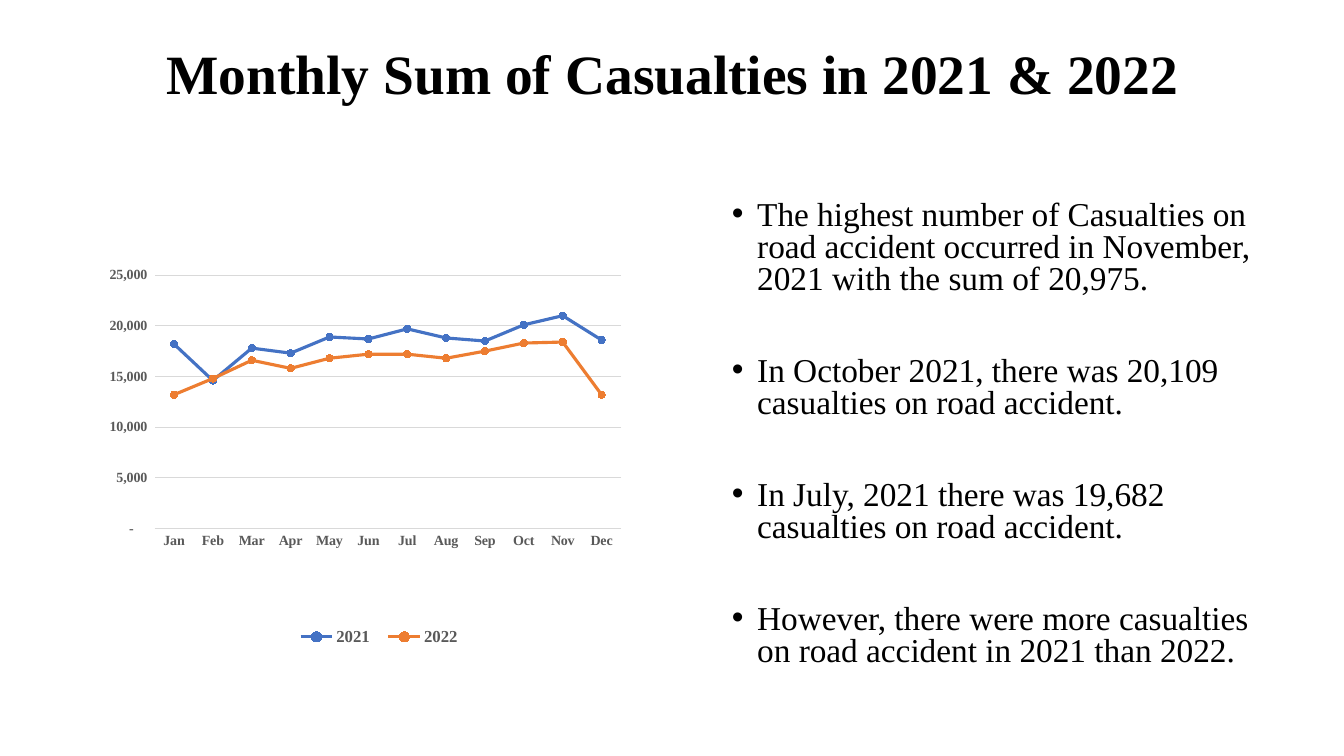
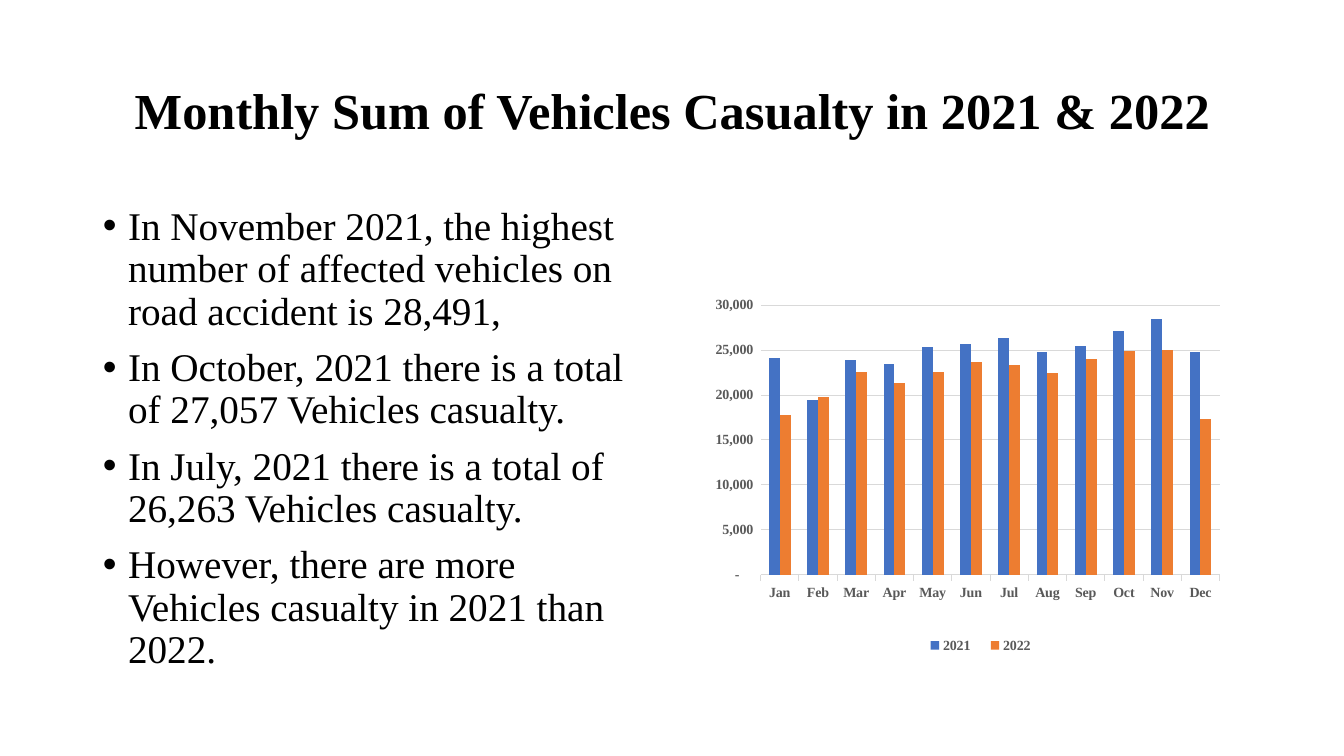
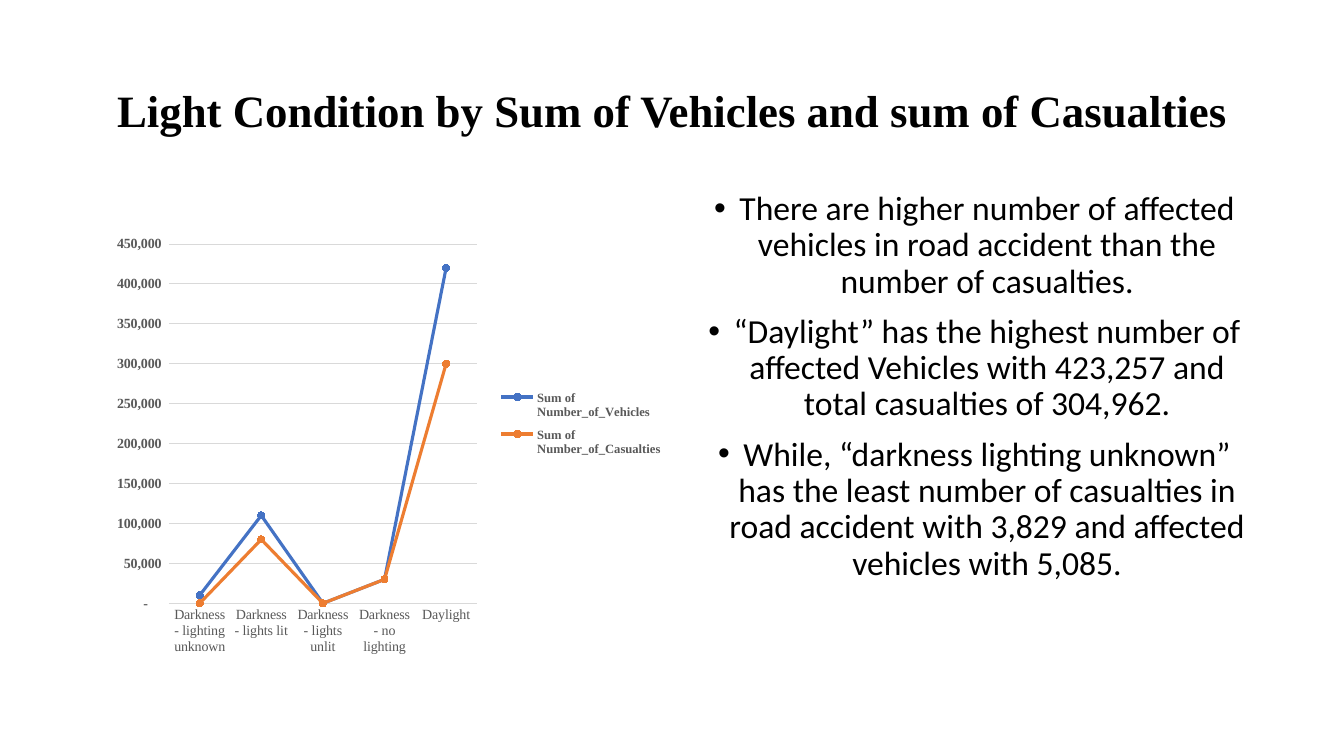
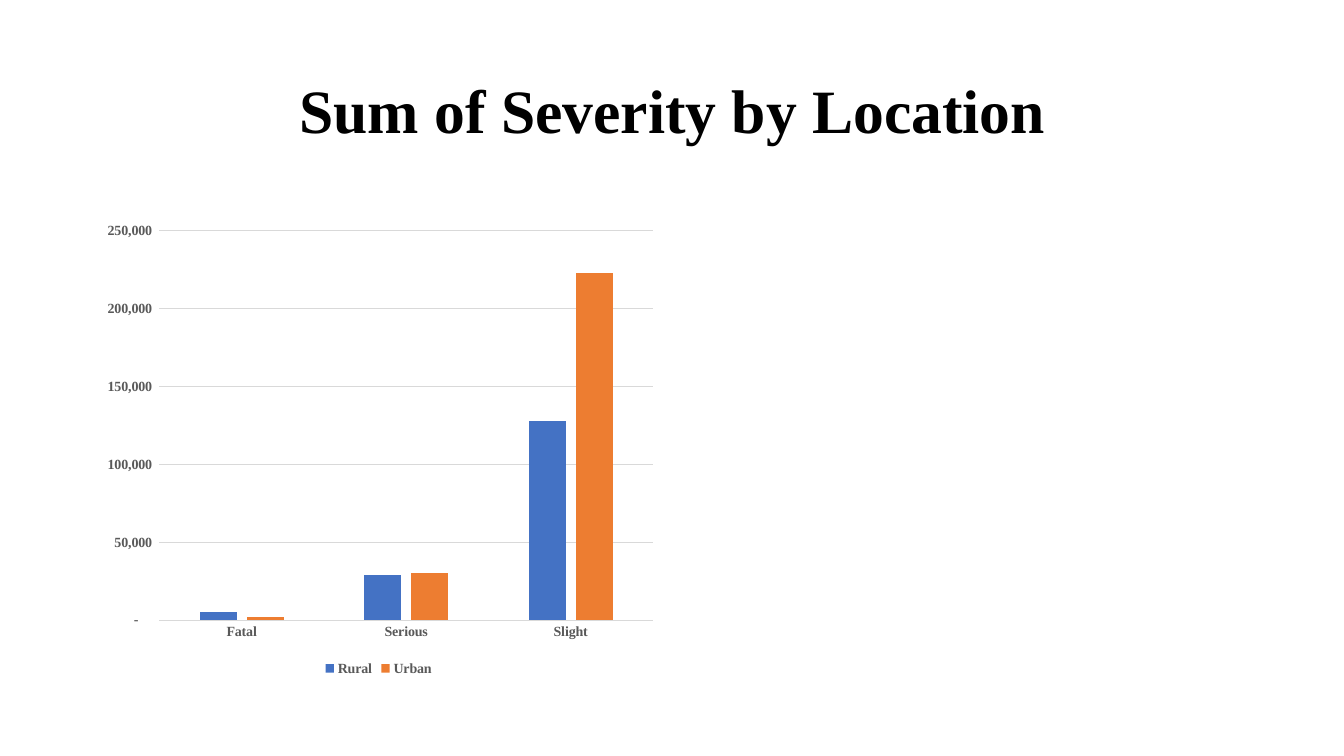
from lxml import etree
from pptx import Presentation
from pptx.chart.data import CategoryChartData
from pptx.dml.color import RGBColor
from pptx.enum.chart import (XL_CHART_TYPE, XL_LEGEND_POSITION, XL_MARKER_STYLE,
                             XL_TICK_MARK)
from pptx.enum.text import MSO_ANCHOR, MSO_AUTO_SIZE, PP_ALIGN
from pptx.oxml.ns import qn
from pptx.util import Inches, Pt

LINE, BAR = XL_CHART_TYPE.LINE_MARKERS, XL_CHART_TYPE.COLUMN_CLUSTERED
BOTTOM, RIGHT = XL_LEGEND_POSITION.BOTTOM, XL_LEGEND_POSITION.RIGHT
DOT = XL_MARKER_STYLE.CIRCLE
NONE, OUT = XL_TICK_MARK.NONE, XL_TICK_MARK.OUTSIDE
LEFT, CENTER = PP_ALIGN.LEFT, PP_ALIGN.CENTER
MIDDLE, TOP = MSO_ANCHOR.MIDDLE, MSO_ANCHOR.TOP
NO_FIT = MSO_AUTO_SIZE.NONE

# Shared look
SERIF, SANS = "Times New Roman", "Calibri"
BLACK, GRAY, RULE = "000000", "595959", "D9D9D9"
HUES = ["4472C4", "ED7D31"]
NUMBER = '_(* #,##0_);_(* \\(#,##0\\);_(* "-"??_);_('
TITLE_BOX = (0.92, 0.4, 11.5, 1.45)
WIDE, TALL = 5.67, 4.76

# Content
MONTHS = ["Jan", "Feb", "Mar", "Apr", "May", "Jun",
          "Jul", "Aug", "Sep", "Oct", "Nov", "Dec"]
SLIDES = [
    {
        "title": "Monthly Sum of Casualties in 2021 & 2022",
        "title_size": 39.6, "title_box": (0.92, 0.4, 11.5, 0.71),
        "points": [
            "The highest number of Casualties on road accident occurred in "
            "November, 2021 with the sum of 20,975.",
            "In October 2021, there was 20,109 casualties on road accident.",
            "In July, 2021 there was 19,682 casualties on road accident.",
            "However, there were more casualties on road accident in 2021 than 2022.",
        ],
        "body_box": (7.16, 1.94, WIDE, 4.95),
        "body": {"size": 23.8, "lines": 0.8, "gap": 43},
        "chart": {
            "kind": LINE, "box": (0.7, 1.94, WIDE, TALL), "cats": MONTHS,
            "series": {
                "2021": [18200, 14600, 17800, 17300, 18900, 18700,
                         19700, 18800, 18500, 20100, 21000, 18600],
                "2022": [13200, 14800, 16600, 15800, 16800, 17200,
                         17200, 16800, 17500, 18300, 18400, 13200],
            },
            "top": 25000, "unit": 5000, "key_size": 12,
            "area": (0.147, 0.166, 0.816, 0.528),
            "key_area": (0.38, 0.88, 0.32, 0.08),
        },
    },
    {
        "title": "Monthly Sum of Vehicles Casualty in 2021 & 2022",
        "title_size": 36,
        "points": [
            "In November 2021, the highest number of affected vehicles on road "
            "accident is 28,491,",
            "In October, 2021 there is a total of 27,057 Vehicles casualty.",
            "In July, 2021 there is a total of 26,263 Vehicles casualty.",
            "However, there are more Vehicles casualty in 2021 than 2022.",
        ],
        "body_box": (0.92, 2, WIDE, TALL),
        "body": {"size": 28},
        "chart": {
            "kind": BAR, "box": (6.75, 2, WIDE, TALL), "cats": MONTHS,
            "series": {
                "2021": [24100, 19400, 23900, 23400, 25300, 25700,
                         26300, 24800, 25500, 27100, 28500, 24800],
                "2022": [17800, 19800, 22600, 21300, 22600, 23700,
                         23300, 22400, 24000, 24900, 25000, 17300],
            },
            "top": 30000, "unit": 5000, "tick": OUT, "gap": 150,
            "area": (0.14, 0.216, 0.803, 0.562),
            "key_area": (0.41, 0.89, 0.23, 0.07),
        },
    },
    {
        "title": "Light Condition by Sum of Vehicles and sum of Casualties",
        "title_size": 32,
        "points": [
            "There are higher number of affected vehicles in road accident than "
            "the number of casualties.",
            "“Daylight” has the highest number of affected Vehicles with 423,257 "
            "and total casualties of 304,962.",
            "While, “darkness lighting unknown” has the least number of casualties "
            "in road accident with 3,829 and affected vehicles with 5,085.",
        ],
        "body_box": (6.83, 1.85, WIDE, TALL),
        "body": {"size": 24, "face": SANS, "align": CENTER},
        "chart": {
            "kind": LINE, "box": (1, 1.85, WIDE, TALL),
            "cats": ["Darkness - lighting unknown", "Darkness - lights lit",
                     "Darkness - lights unlit", "Darkness - no lighting",
                     "Daylight"],
            "series": {
                "Sum of Number_of_Vehicles": [10000, 110000, 0, 30000, 420000],
                "Sum of Number_of_Casualties": [0, 80000, 0, 30000, 300000],
            },
            "top": 450000, "unit": 50000, "cat_bold": False,
            "key": RIGHT, "key_size": 9,
            "area": (0.119, 0.12, 0.539, 0.749),
            "key_area": (0.7, 0.41, 0.28, 0.17),
        },
    },
    {
        "title": "Sum of Severity by Location",
        "title_size": 44,
        "chart": {
            "kind": BAR, "box": (0.92, 2.12, WIDE, 4.63),
            "cats": ["Fatal", "Serious", "Slight"],
            "series": {"Rural": [5000, 29000, 128000],
                       "Urban": [2000, 30000, 223000]},
            "top": 250000, "unit": 50000, "gap": 219, "lap": -27,
        },
    },
]


def rgb(hue):
    return RGBColor.from_string(hue)


def style(font, size, hue=GRAY, bold=True, face=SERIF):
    font.size, font.bold, font.name = Pt(size), bold, face
    font.color.rgb = rgb(hue)


def write(shape, box, texts, size, bold=False, face=SERIF, align=LEFT,
          anchor=TOP, lines=0.9, first=10, gap=10, bullet=True):
    """Place a placeholder and fill it with formatted paragraphs."""
    shape.left, shape.top, shape.width, shape.height = map(Inches, box)
    frame = shape.text_frame
    frame.word_wrap, frame.auto_size = True, NO_FIT
    frame.vertical_anchor = anchor
    for i, text in enumerate(texts):
        para = frame.add_paragraph() if i else frame.paragraphs[0]
        para.alignment, para.line_spacing = align, lines
        para.space_before = Pt(gap if i else first)
        if bullet:
            props = para._p.get_or_add_pPr()
            props.set("marL", str(Inches(0.25)))
            props.set("indent", str(-Inches(0.25)))
        run = para.add_run()
        run.text = text
        style(run.font, size, BLACK, bold, face)


def arrange(parent, index, area, inner=False):
    """Give a plot area or a legend a fixed place, as shares of the chart."""
    old = parent.find(qn("c:layout"))
    if old is not None:
        parent.remove(old)
    layout = etree.Element(qn("c:layout"))
    manual = etree.SubElement(layout, qn("c:manualLayout"))
    pairs = [("layoutTarget", "inner")] if inner else []
    pairs += [("xMode", "edge"), ("yMode", "edge")]
    pairs += zip("xywh", area)
    for tag, value in pairs:
        etree.SubElement(manual, qn("c:" + tag)).set("val", str(value))
    parent.insert(index, layout)


def draw(slide, kind, box, cats, series, top, unit, tick=NONE, cat_bold=True,
         key=BOTTOM, key_size=10, area=None, key_area=None, gap=150, lap=0):
    data = CategoryChartData()
    data.categories = cats
    for name, values in series.items():
        data.add_series(name, values)
    chart = slide.shapes.add_chart(kind, *map(Inches, box), data).chart
    chart.has_title = False
    style(chart.font, 10, BLACK, False, SANS)

    # Axes
    cat, val = chart.category_axis, chart.value_axis
    for axis, bold, mark in ((cat, cat_bold, tick), (val, True, NONE)):
        axis.major_tick_mark, axis.minor_tick_mark = mark, NONE
        style(axis.tick_labels.font, 10, bold=bold)
    val.has_major_gridlines = True
    for line in (cat.format.line, val.major_gridlines.format.line):
        line.color.rgb, line.width = rgb(RULE), Pt(0.75)
    val.format.line.fill.background()
    val.minimum_scale, val.maximum_scale, val.major_unit = 0, top, unit
    val.tick_labels.number_format = NUMBER
    val.tick_labels.number_format_is_linked = False

    # Series
    plot = chart.plots[0]
    plot.vary_by_categories = False
    if kind == BAR:
        plot.gap_width, plot.overlap = gap, lap
    for item, hue in zip(plot.series, HUES):
        fill = item.format.fill
        if kind == LINE:
            item.smooth = False
            item.format.line.color.rgb = rgb(hue)
            item.format.line.width = Pt(2.25)
            item.marker.style, item.marker.size = DOT, 5
            item.marker.format.line.color.rgb = rgb(hue)
            fill = item.marker.format.fill
        fill.solid()
        fill.fore_color.rgb = rgb(hue)

    # Legend and plot area
    chart.has_legend = True
    legend = chart.legend
    legend.position, legend.include_in_layout = key, False
    style(legend.font, key_size)
    if area:
        arrange(chart._chartSpace.chart.plotArea, 0, area, inner=True)
    if key_area:
        arrange(legend._element, 1, key_area)


def main():
    deck = Presentation()
    deck.slide_width, deck.slide_height = Inches(13.33), Inches(7.5)
    for page in SLIDES:
        points = page.get("points")
        slide = deck.slides.add_slide(deck.slide_layouts[1 if points else 5])
        write(slide.shapes.title, page.get("title_box", TITLE_BOX),
              [page["title"]], page["title_size"], bold=True, align=CENTER,
              anchor=MIDDLE, first=0, bullet=False)
        if points:
            write(slide.placeholders[1], page["body_box"], points, **page["body"])
        draw(slide, **page["chart"])
    deck.save("out.pptx")


if __name__ == "__main__":
    main()
